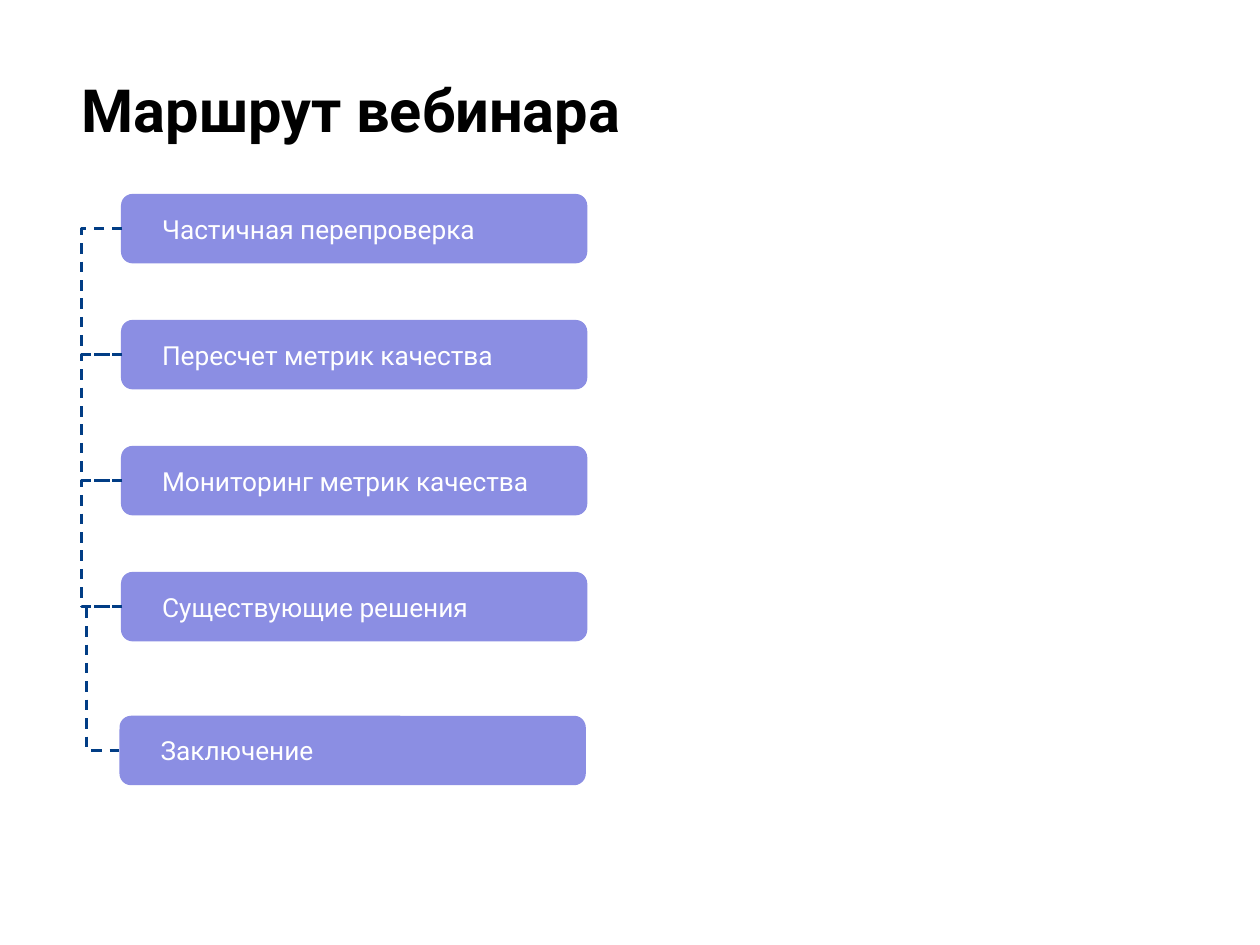
from itertools import pairwise
from lxml.etree import SubElement
from pptx import Presentation
from pptx.dml.color import RGBColor
from pptx.enum.dml import MSO_LINE
from pptx.enum.shapes import MSO_CONNECTOR, MSO_SHAPE
from pptx.enum.text import MSO_ANCHOR, PP_ALIGN
from pptx.oxml.ns import qn
from pptx.util import Cm, Pt

# Content
TITLE = "Маршрут вебинара"
STEPS = [
    "Частичная перепроверка",
    "Пересчет метрик качества",
    "Мониторинг метрик качества",
    "Существующие решения",
    "Заключение",
]

THEME = {
    "font": "Roboto",
    "title_size": Pt(34),
    "step_size": Pt(15),
    "black": RGBColor(0x00, 0x00, 0x00),
    "white": RGBColor(0xFF, 0xFF, 0xFF),
    "box": RGBColor(0x8B, 0x8E, 0xE3),
    "line": RGBColor(0x01, 0x3D, 0x85),
}

# Layout in centimetres: an even column, with the last step set apart
LEFT, TOP, PITCH = 2.44, 3.91, 2.54
BOX_W, BOX_H = 9.4, 1.4
LAST_LEFT, LAST_TOP = 2.41, 14.43
TRUNK, LAST_TRUNK = 1.65, 1.75
OVERLAP = 0.03  # a connector starts slightly inside its box


def set_text(tf, text, size, color, side, bold=False):
    tf.word_wrap = True
    tf.margin_left = tf.margin_right = Cm(side)
    tf.margin_top = tf.margin_bottom = Cm(0.25)
    p = tf.paragraphs[0]
    p.text = text
    p.alignment = PP_ALIGN.LEFT
    p.font.name = THEME["font"]
    p.font.size = size
    p.font.bold = bold
    p.font.color.rgb = color


def add_step(s, text, left, top):
    sp = s.shapes.add_shape(MSO_SHAPE.ROUNDED_RECTANGLE,
                            Cm(left), Cm(top), Cm(BOX_W), Cm(BOX_H))
    sp.adjustments[0] = 0.167
    sp.shadow.inherit = False
    sp.fill.solid()
    sp.fill.fore_color.rgb = THEME["box"]
    sp.line.fill.background()
    sp.text_frame.vertical_anchor = MSO_ANCHOR.MIDDLE
    set_text(sp.text_frame, text, THEME["step_size"], THEME["white"], 0.76)


def add_link(s, start, end, trunk):
    (x1, y1), (x2, y2) = start, end
    c = s.shapes.add_connector(MSO_CONNECTOR.ELBOW,
                               Cm(x1), Cm(y1), Cm(x2), Cm(y2))
    c.line.color.rgb = THEME["line"]
    c.line.width = Pt(1.5)
    c.line.dash_style = MSO_LINE.DASH
    SubElement(c._element.spPr, qn("a:effectLst"))
    # The bend is a share of the connector's width
    guides = c._element.spPr.find(qn("a:prstGeom")).get_or_add_avLst()
    bend = round((x1 - trunk) / (x1 - x2) * 100000)
    SubElement(guides, qn("a:gd"), name="adj1", fmla=f"val {bend}")


prs = Presentation()
prs.slide_width, prs.slide_height = Cm(25.4), Cm(19.05)
s = prs.slides.add_slide(prs.slide_layouts[5])

# Title
title = s.shapes.title
title.left, title.top, title.width, title.height = Cm(1.4), Cm(1.22), Cm(23.67), Cm(3.63)
title.text_frame.vertical_anchor = MSO_ANCHOR.TOP
set_text(title.text_frame, TITLE, THEME["title_size"], THEME["black"], 0.25, bold=True)

# Steps
spots = [(LEFT, TOP + i * PITCH) for i in range(len(STEPS) - 1)]
spots.append((LAST_LEFT, LAST_TOP))
for text, (left, top) in zip(STEPS, spots):
    add_step(s, text, left, top)

# Dashed links between neighbouring steps
for (x1, y1), (x2, y2) in pairwise(spots):
    trunk = LAST_TRUNK if y2 == LAST_TOP else TRUNK
    add_link(s, (x1 + OVERLAP, y1 + BOX_H / 2), (x2, y2 + BOX_H / 2), trunk)

prs.save("out.pptx")
